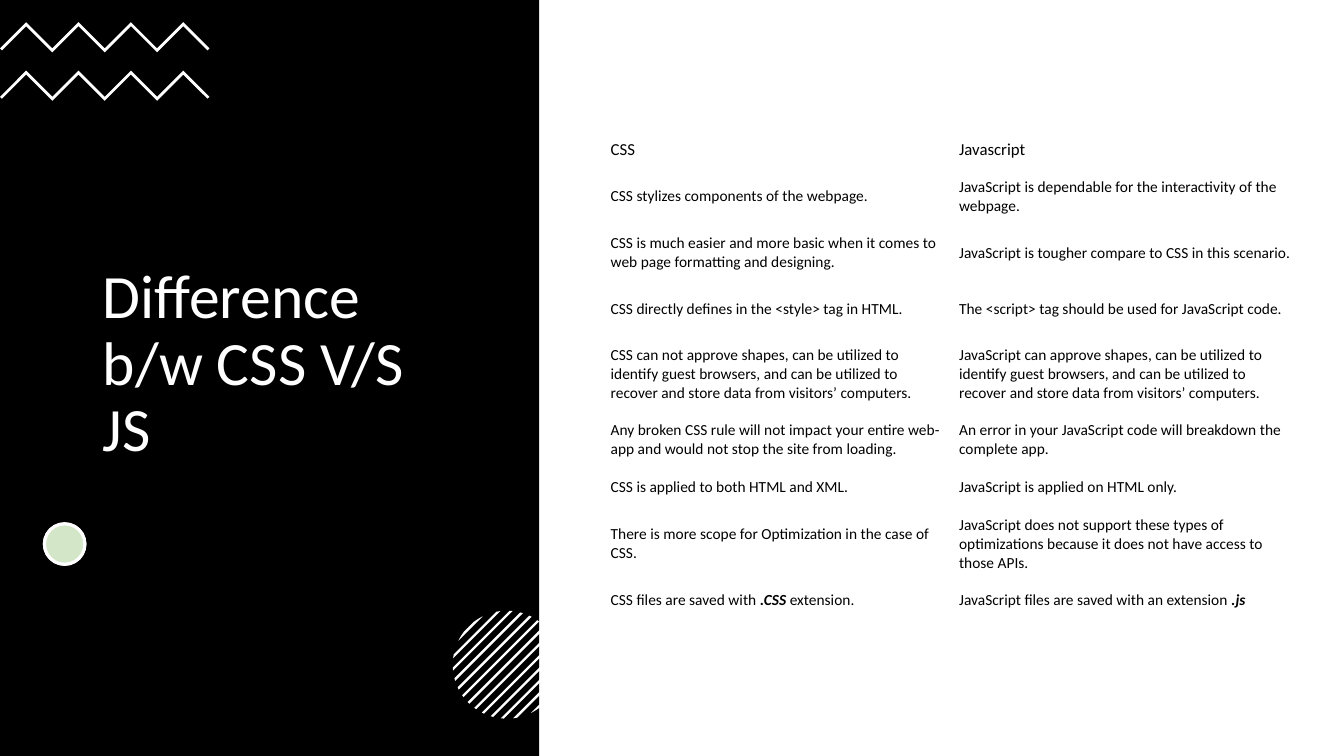
from dataclasses import dataclass
from math import acos, cos, pi, sin

from lxml.etree import SubElement
from pptx import Presentation
from pptx.dml.color import RGBColor
from pptx.enum.shapes import MSO_SHAPE
from pptx.enum.text import MSO_ANCHOR, MSO_AUTO_SIZE, PP_ALIGN
from pptx.oxml.ns import qn
from pptx.util import Cm, Pt

FONT = "Calibri"
BLACK, WHITE, GREEN = "000000", "FFFFFF", "70AD47"
Point = tuple[float, float]


@dataclass
class Row:
    """One table row; words between asterisks are bold italic."""
    css: str
    script: str
    high: float
    size: int = 11
    inset: float = 0.2


@dataclass
class Disc:
    """A round dot with a fill and its opacity in percent."""
    fill: str
    alpha: int = 100


ROWS = [
    Row("CSS", "Javascript", 0.91, 12, 0.15),
    Row("CSS stylizes components of the webpage.",
        "JavaScript is dependable for the interactivity of the webpage.", 1.42),
    Row("CSS is much easier and more basic when it comes to web page formatting and designing.",
        "JavaScript is tougher compare to CSS in this scenario.", 1.42),
    Row("CSS directly defines in the <style> tag in HTML.",
        "The <script> tag should be used for JavaScript code.", 1.42),
    Row("CSS can not approve shapes, can be utilized to identify guest browsers, "
        "and can be utilized to recover and store data from visitors’ computers.",
        "JavaScript can approve shapes, can be utilized to identify guest browsers, "
        "and can be utilized to recover and store data from visitors’ computers.", 1.88),
    Row("Any broken CSS rule will not impact your entire web-app "
        "and would not stop the site from loading.",
        "An error in your JavaScript code will breakdown the complete app.", 1.42),
    Row("CSS is applied to both HTML and XML.",
        "JavaScript is applied on HTML only.", 0.97),
    Row("There is more scope for Optimization in the case of CSS.",
        "JavaScript does not support these types of optimizations "
        "because it does not have access to those APIs.", 1.88),
    Row("CSS files are saved with *.CSS* extension.",
        "JavaScript files are saved with an extension *.js*", 0.97),
]
DISCS = [Disc(WHITE), Disc(GREEN, 30)]


def paint(target, tint: str) -> None:
    """Give a fill or line format a solid colour."""
    target.solid()
    target.fore_color.rgb = RGBColor.from_string(tint)


def write(para, text: str, size: int, tint: str) -> None:
    """Add text run by run, with marked words in bold italic."""
    for place, part in enumerate(text.split("*")):
        if part:
            run = para.add_run()
            run.text = part
            run.font.name, run.font.size = FONT, Pt(size)
            run.font.bold = run.font.italic = place % 2 == 1
            paint(run.font.fill, tint)


def outline(shapes, points: list[Point]) -> None:
    """Draw a closed white polygon through points in centimetres."""
    spots = [(Cm(x), Cm(y)) for x, y in points]
    pen = shapes.build_freeform(*spots[0])
    pen.add_line_segments(spots[1:], close=True)
    shape = pen.convert_to_shape()
    shape.shadow.inherit = False
    paint(shape.fill, WHITE)
    shape.line.fill.background()


def zigzag(shapes, top: float) -> None:
    """Draw a band of four peaks from the left edge."""
    step, rise, thick, cut, count = 0.66, 0.66, 0.1, 0.05, 8
    upper = [(i * step, top + rise * (i % 2 == 0)) for i in range(count + 1)]
    lower = [(x, y + thick) for x, y in upper[1:-1]]
    (x0, y0), (x1, y1) = upper[0], upper[-1]
    lower = [(x0 + cut, y0 + cut), *lower, (x1 - cut, y1 + cut)]
    outline(shapes, upper + lower[::-1])


def stripe(shapes, shift: float) -> None:
    """Draw one slanted stripe clipped by the circle."""
    mid_x, mid_y, radius, half, steps = 12.77, 16.75, 1.36, 0.03, 8
    near, far = (acos(max(-1, min(1, (shift + side) / radius))) for side in (-half, half))
    turns = [near + (far - near) * i / steps for i in range(steps + 1)]
    angles = [pi / 4 + t for t in turns] + [pi / 4 - t for t in turns[::-1]]
    outline(shapes, [(mid_x + radius * cos(a), mid_y + radius * sin(a)) for a in angles])


def disc(shapes, item: Disc) -> None:
    """Draw a ringed dot."""
    dot = shapes.add_shape(MSO_SHAPE.OVAL, Cm(1.12), Cm(13.2), Cm(1.02), Cm(1.02))
    dot.shadow.inherit = False
    paint(dot.fill, item.fill)
    paint(dot.line.fill, WHITE)
    dot.line.width = Pt(2.25)
    if item.alpha < 100:
        tint = dot.element.spPr.find(qn("a:solidFill"))[0]
        SubElement(tint, qn("a:alpha"), val=str(item.alpha * 1000))


def heading(shapes) -> None:
    """Fill the title and set the black panel behind it."""
    title = shapes.title
    title.left, title.top, title.width, title.height = Cm(2.34), Cm(3.33), Cm(8.89), Cm(11.76)
    frame = title.text_frame
    frame.word_wrap, frame.auto_size = True, MSO_AUTO_SIZE.NONE
    frame.vertical_anchor = MSO_ANCHOR.MIDDLE
    para = frame.paragraphs[0]
    para.alignment, para.line_spacing = PP_ALIGN.LEFT, 0.9
    write(para, "Difference b/w CSS V/S JS", 44, WHITE)
    panel = shapes.add_shape(MSO_SHAPE.RECTANGLE, 0, 0, Cm(13.59), Cm(19.05))
    panel.shadow.inherit = False
    paint(panel.fill, BLACK)
    panel.line.fill.background()
    title.element.addprevious(panel.element)


def grid(shapes) -> None:
    """Build the table of differences."""
    wide = (8.78, 8.73)
    high = sum(row.high for row in ROWS)
    table = shapes.add_table(len(ROWS), 2, Cm(15.24), Cm(3.33), Cm(sum(wide)), Cm(high)).table
    table.first_row = table.horz_banding = False
    for column, width in zip(table.columns, wide):
        column.width = Cm(width)
    for line, row in zip(table.rows, ROWS):
        line.height = Cm(row.high)
        for cell, text in zip(line.cells, (row.css, row.script)):
            paint(cell.fill, WHITE)
            cell.vertical_anchor = MSO_ANCHOR.MIDDLE
            cell.margin_left = cell.margin_right = Cm(0.15)
            cell.margin_top = cell.margin_bottom = Cm(row.inset)
            write(cell.text_frame.paragraphs[0], text, row.size, BLACK)


def main() -> None:
    """Build and save the slide."""
    deck = Presentation()
    deck.slide_width, deck.slide_height = Cm(33.87), Cm(19.05)
    shapes = deck.slides.add_slide(deck.slide_layouts[5]).shapes
    heading(shapes)
    waves = shapes.add_group_shape().shapes
    for top in (0.56, 1.78):
        zigzag(waves, top)
    for item in DISCS:
        disc(shapes, item)
    ball = shapes.add_group_shape().shapes
    for place in range(-6, 7):
        stripe(ball, place * 0.22)
    grid(shapes)
    deck.save("out.pptx")


if __name__ == "__main__":
    main()
